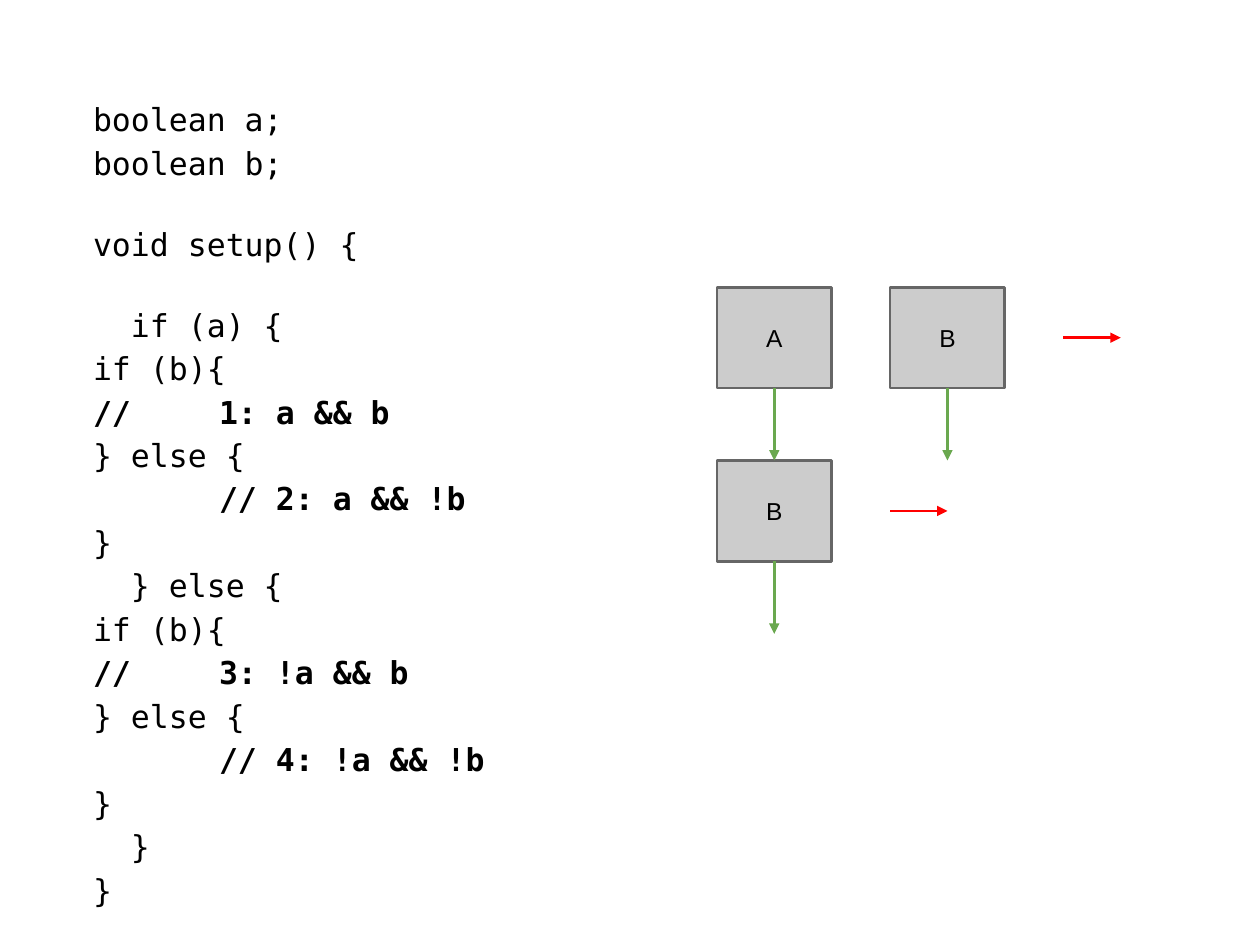
from lxml import etree
from pptx import Presentation
from pptx.dml.color import RGBColor
from pptx.enum.shapes import MSO_CONNECTOR, MSO_SHAPE
from pptx.enum.text import MSO_ANCHOR, PP_ALIGN
from pptx.oxml.ns import qn
from pptx.util import Inches, Pt

LINE, RECT = MSO_CONNECTOR.STRAIGHT, MSO_SHAPE.RECTANGLE
TOP, MIDDLE, CENTER = MSO_ANCHOR.TOP, MSO_ANCHOR.MIDDLE, PP_ALIGN.CENTER
UP, DOWN = 0, 2  # connection sites of a rectangle

# Content: an empty entry is a gap in the code, a comment line is bold
CODE = [
    "boolean a;",
    "boolean b;",
    "",
    "void setup() {",
    "",
    "  if (a) {",
    "if (b){",
    "//\t1: a && b",
    "} else {",
    "\t// 2: a && !b",
    "}",
    "  } else {",
    "if (b){",
    "//\t3: !a && b",
    "} else {",
    "\t// 4: !a && !b",
    "}",
    "  }",
    "}",
]
# (column, row): label; a green arrow leaves each box below
BOXES = {(0, 0): "A", (1, 0): "B", (0, 1): "B"}
NO = [(2, 0), (1, 1)]  # a red arrow starts at each cell

COLORS = {name: RGBColor.from_string(value) for name, value in {
    "ink": "000000", "fill": "CCCCCC", "edge": "666666",
    "yes": "6AA84F", "no": "FF0000"}.items()}
MONO = {"name": "DejaVu Sans Mono", "size": Pt(18)}
LABEL = {"name": "Arial", "size": Pt(14)}
PAD, GAP, WEIGHT = Inches(0.1), Pt(21.5), Pt(1.5)
TAB = Inches(1)

# Grid of the diagram
LEFT, HEAD = Inches(5.69), Inches(2.28)
STEP = Inches(1.375)
WIDE, HIGH = Inches(0.91), Inches(0.8)


def place(cell):
    col, row = cell
    return LEFT + col * STEP, HEAD + row * STEP


def style(font, form):
    for key, value in form.items():
        setattr(font, key, value)
    font.color.rgb = COLORS["ink"]


def set_frame(frame, anchor):
    form = {"word_wrap": True, "vertical_anchor": anchor}
    for side in ("left", "right", "top", "bottom"):
        form["margin_" + side] = PAD
    for key, value in form.items():
        setattr(frame, key, value)


def add_tab(para):
    tabs = etree.SubElement(para._p.get_or_add_pPr(), qn("a:tabLst"))
    etree.SubElement(tabs, qn("a:tab"), pos=str(TAB), algn="l")


def add_code(slide):
    box = slide.shapes.add_textbox(
        Inches(0.64), Inches(0.65), Inches(4.14), Inches(5.73))
    frame = box.text_frame
    set_frame(frame, TOP)
    for i, text in enumerate(CODE):
        if not text:
            continue
        para = frame.add_paragraph() if i else frame.paragraphs[0]
        para.line_spacing = 1.15
        if i and not CODE[i - 1]:
            para.space_before = GAP
        if "\t" in text:
            add_tab(para)
        run = para.add_run()
        run.text = text
        style(run.font, {**MONO, "bold": "//" in text})


def add_box(slide, cell, text):
    box = slide.shapes.add_shape(RECT, *place(cell), WIDE, HIGH)
    box.shadow.inherit = False
    box.fill.solid()
    box.fill.fore_color.rgb = COLORS["fill"]
    box.line.color.rgb = COLORS["edge"]
    box.line.width = WEIGHT
    set_frame(box.text_frame, MIDDLE)
    para = box.text_frame.paragraphs[0]
    para.alignment = CENTER
    run = para.add_run()
    run.text = text
    style(run.font, LABEL)
    return box


def add_arrow(slide, start, end, color):
    arrow = slide.shapes.add_connector(LINE, *start, *end)
    arrow.line.color.rgb = COLORS[color]
    arrow.line.width = WEIGHT
    etree.SubElement(arrow.line._get_or_add_ln(), qn("a:tailEnd"),
                     type="triangle")
    etree.SubElement(arrow._element.spPr, qn("a:effectLst"))
    return arrow


def main():
    deck = Presentation()
    deck.slide_width, deck.slide_height = Inches(10), Inches(7.5)
    slide = deck.slides.add_slide(deck.slide_layouts[6])

    add_code(slide)
    boxes = {cell: add_box(slide, cell, text) for cell, text in BOXES.items()}

    # Green arrows go down to the next row
    for cell, box in boxes.items():
        x, y = place(cell)
        mid = x + WIDE // 2
        arrow = add_arrow(slide, (mid, y + HIGH), (mid, y + STEP), "yes")
        arrow.begin_connect(box, DOWN)
        below = boxes.get((cell[0], cell[1] + 1))
        if below:
            arrow.end_connect(below, UP)

    # Red arrows point right, half a box long
    for cell in NO:
        x, y = place(cell)
        mid = y + HIGH // 2
        add_arrow(slide, (x, mid), (x + WIDE // 2, mid), "no")

    deck.save("out.pptx")


if __name__ == "__main__":
    main()
